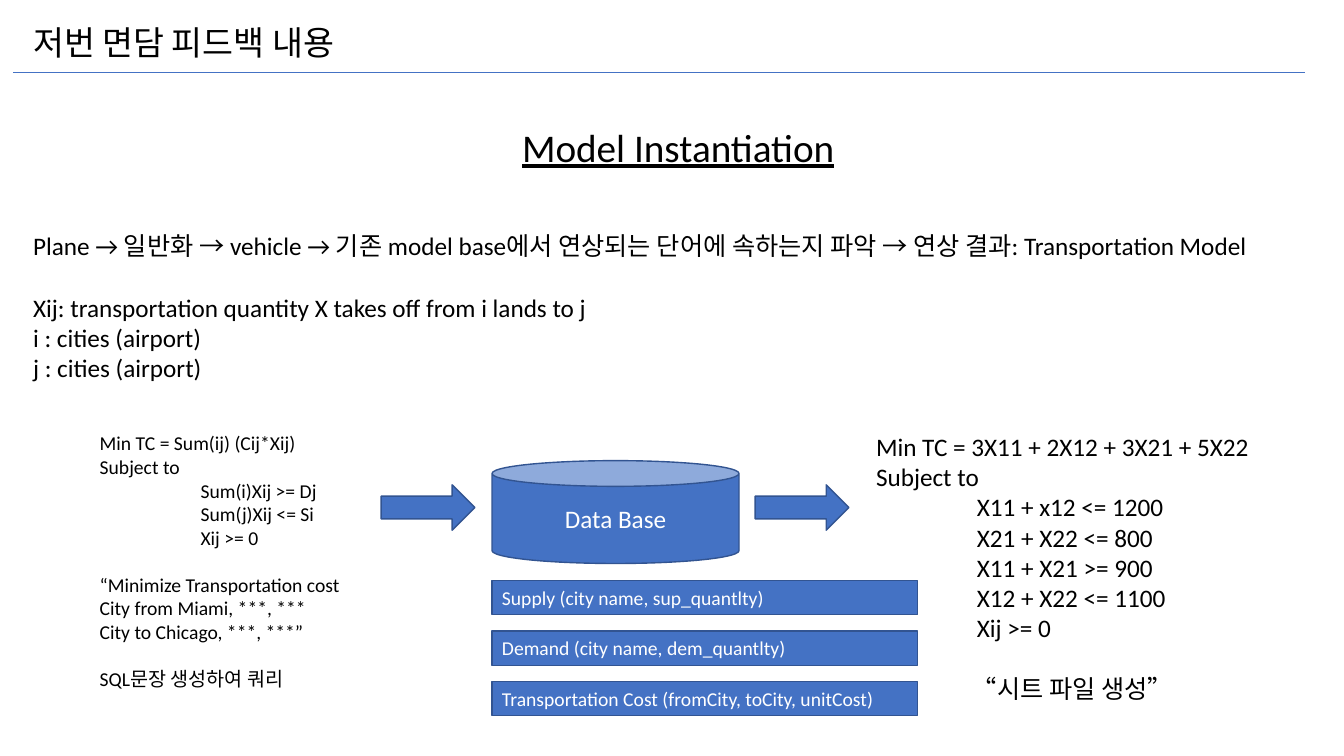
from dataclasses import dataclass

from lxml import etree
from pptx import Presentation
from pptx.dml.color import RGBColor
from pptx.enum.shapes import MSO_CONNECTOR, MSO_SHAPE
from pptx.enum.text import MSO_ANCHOR, MSO_AUTO_SIZE, PP_ALIGN
from pptx.oxml.ns import qn
from pptx.util import Inches, Pt


@dataclass(frozen=True)
class Theme:
    font: str = "Calibri"
    ink: RGBColor = RGBColor(0, 0, 0)
    white: RGBColor = RGBColor(255, 255, 255)
    blue: RGBColor = RGBColor(0x44, 0x72, 0xC4)
    outline: RGBColor = RGBColor(0x32, 0x54, 0x91)
    heading: int = 28
    title: int = 24
    body: int = 18
    small: int = 14
    line_height: float = 1.22


@dataclass(frozen=True)
class Line:
    text: str
    indent: float = 0
    gap: bool = False


THEME = Theme()

DEFINITIONS = [
    Line("Plane → 일반화 → vehicle → 기존 model base에서 연상되는 단어에 속하는지 파악 "
         "→ 연상 결과: Transportation Model"),
    Line("Xij: transportation quantity X takes off from i lands to j", gap=True),
    Line("i : cities (airport)"),
    Line("j : cities (airport)"),
]
GENERAL_MODEL = [
    Line("Min TC = Sum(ij) (Cij*Xij)"),
    Line("Subject to"),
    Line("Sum(i)Xij >= Dj", indent=1),
    Line("Sum(j)Xij <= Si", indent=1),
    Line("Xij >= 0", indent=1),
    Line("“Minimize Transportation cost", gap=True),
    Line("City from Miami, ***, ***"),
    Line("City to Chicago, ***, ***”"),
    Line("SQL문장 생성하여 쿼리", gap=True),
]
MODEL_INSTANCE = [
    Line("Min TC = 3X11 + 2X12 + 3X21 + 5X22"),
    Line("Subject to"),
    Line("X11 + x12 <= 1200", indent=1),
    Line("X21 + X22 <= 800", indent=1),
    Line("X11 + X21 >= 900", indent=1),
    Line("X12 + X22 <= 1100", indent=1),
    Line("Xij >= 0", indent=1),
    Line("“시트 파일 생성”", indent=0.95, gap=True),
]
TABLES = [
    "Supply (city name, sup_quantlty)",
    "Demand (city name, dem_quantlty)",
    "Transportation Cost (fromCity, toCity, unitCost)",
]


def style_font(paragraph, size, color):
    paragraph.font.name = THEME.font
    paragraph.font.size = Pt(size)
    paragraph.font.color.rgb = color


def add_text(slide, box, lines, size, wrap=False, underline=None):
    frame = slide.shapes.add_textbox(*map(Inches, box)).text_frame
    frame.word_wrap = wrap
    frame.auto_size = MSO_AUTO_SIZE.SHAPE_TO_FIT_TEXT
    for index, line in enumerate(lines):
        paragraph = frame.add_paragraph() if index else frame.paragraphs[0]
        paragraph.text = line.text
        if line.indent:
            properties = paragraph._p.get_or_add_pPr()
            properties.set("marL", str(Inches(line.indent)))
            properties.set("indent", "0")
        if line.gap:
            paragraph.space_before = Pt(round(size * THEME.line_height))
        style_font(paragraph, size, THEME.ink)
        paragraph.font.underline = underline


def add_block(slide, kind, box, text="", size=THEME.body, align=PP_ALIGN.LEFT):
    shape = slide.shapes.add_shape(kind, *map(Inches, box))
    shape.shadow.inherit = False
    shape.fill.solid()
    shape.fill.fore_color.rgb = THEME.blue
    shape.line.color.rgb = THEME.outline
    shape.line.width = Pt(1)
    if text:
        shape.text_frame.vertical_anchor = MSO_ANCHOR.MIDDLE
        paragraph = shape.text_frame.paragraphs[0]
        paragraph.text = text
        paragraph.alignment = align
        style_font(paragraph, size, THEME.white)


def add_rule(slide, left, right, top):
    rule = slide.shapes.add_connector(
        MSO_CONNECTOR.STRAIGHT, Inches(left), Inches(top), Inches(right), Inches(top))
    rule.line.color.rgb = THEME.blue
    rule.line.width = Pt(0.5)
    etree.SubElement(rule._element.spPr, qn("a:effectLst"))


def main():
    presentation = Presentation()
    presentation.slide_width = Inches(13.33)
    presentation.slide_height = Inches(7.5)
    slide = presentation.slides.add_slide(presentation.slide_layouts[6])

    add_text(slide, (0.23, 0.17, 7.99, 0.5), [Line("저번 면담 피드백 내용")],
             THEME.title, wrap=True)
    add_rule(slide, 0.13, 12.94, 0.72)
    add_text(slide, (5.08, 1.17, 6.51, 0.57), [Line("Model Instantiation")],
             THEME.heading, wrap=True, underline=True)
    add_text(slide, (0.23, 2.24, 12.89, 1.92), DEFINITIONS, THEME.body)
    add_text(slide, (0.89, 4.23, 2.61, 2.69), GENERAL_MODEL, THEME.small)
    add_text(slide, (8.59, 4.23, 3.95, 2.83), MODEL_INSTANCE, THEME.body)

    add_block(slide, MSO_SHAPE.CAN, (4.88, 4.57, 2.45, 1.02), "Data Base",
              align=PP_ALIGN.CENTER)
    for left in (3.78, 7.49):
        add_block(slide, MSO_SHAPE.RIGHT_ARROW, (left, 4.81, 0.93, 0.45))
    for row, text in enumerate(TABLES):
        add_block(slide, MSO_SHAPE.RECTANGLE, (4.88, 5.76 + row * 0.5, 4.22, 0.34),
                  text, THEME.small)

    presentation.save("out.pptx")


if __name__ == "__main__":
    main()
